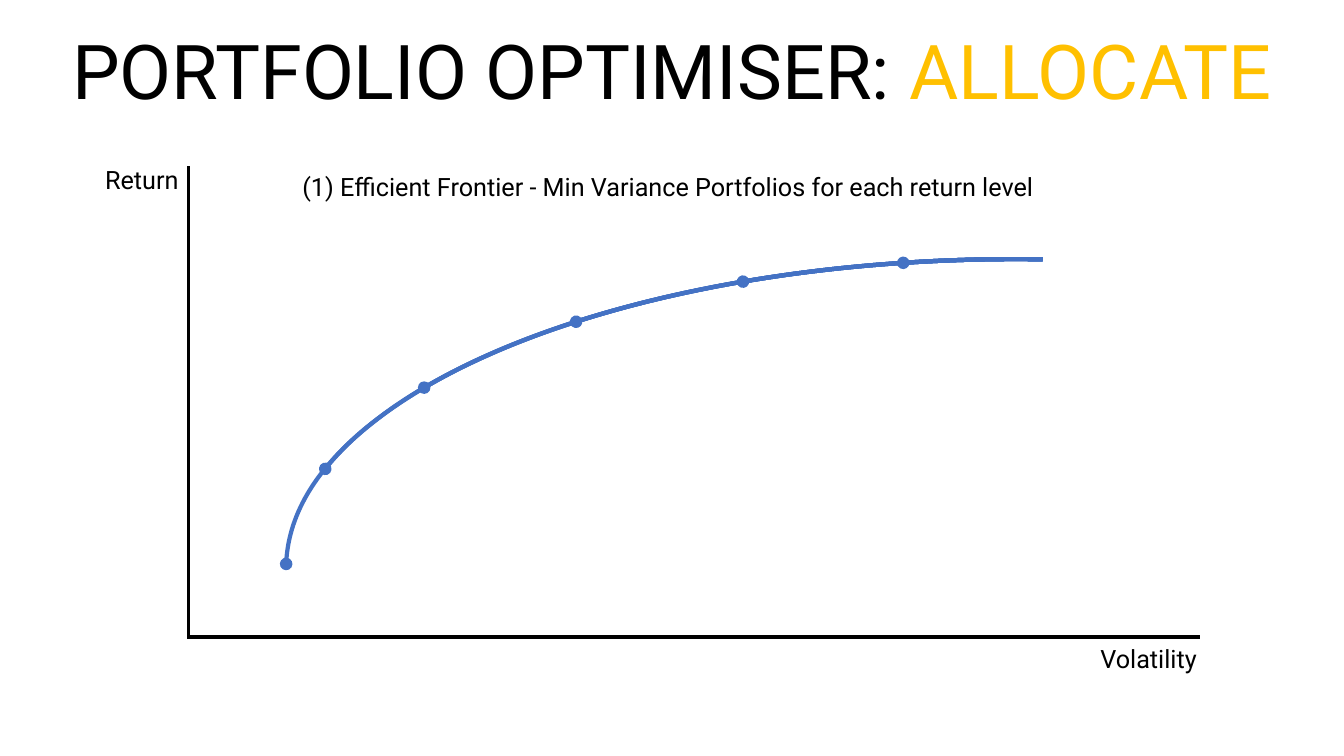
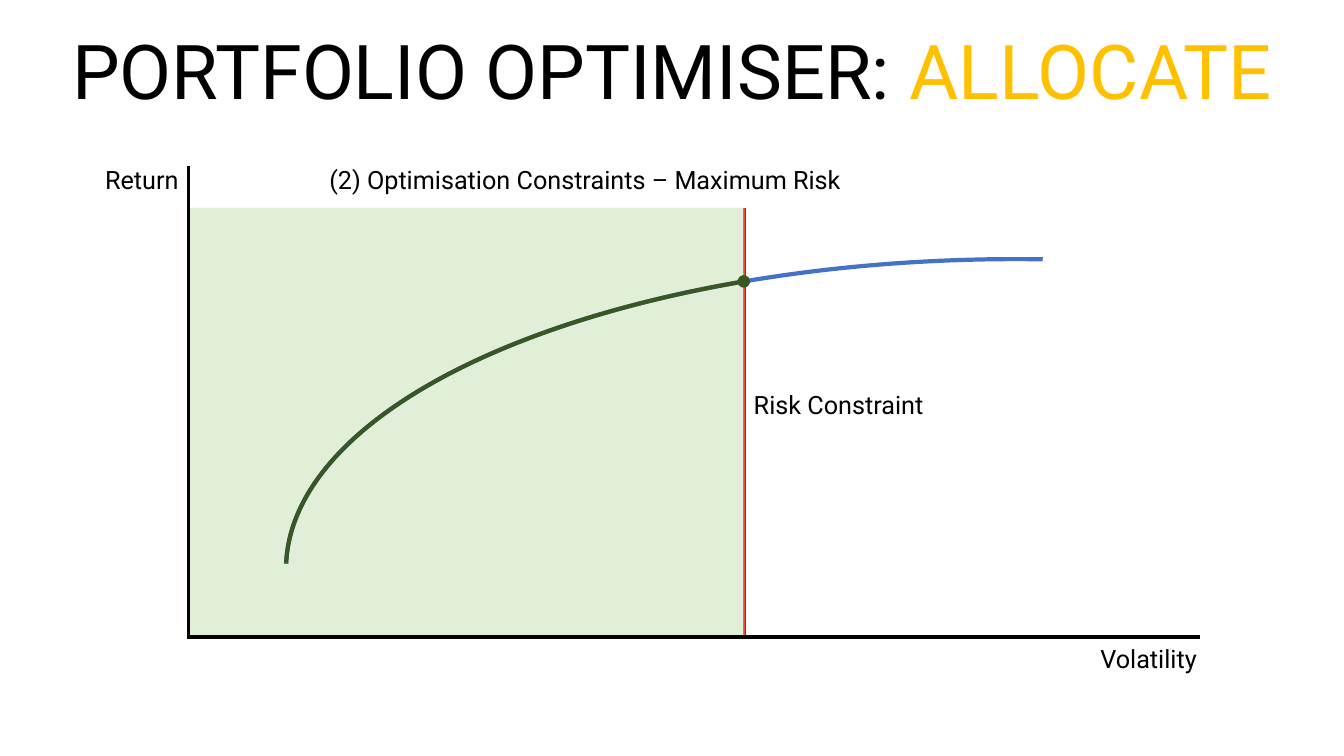
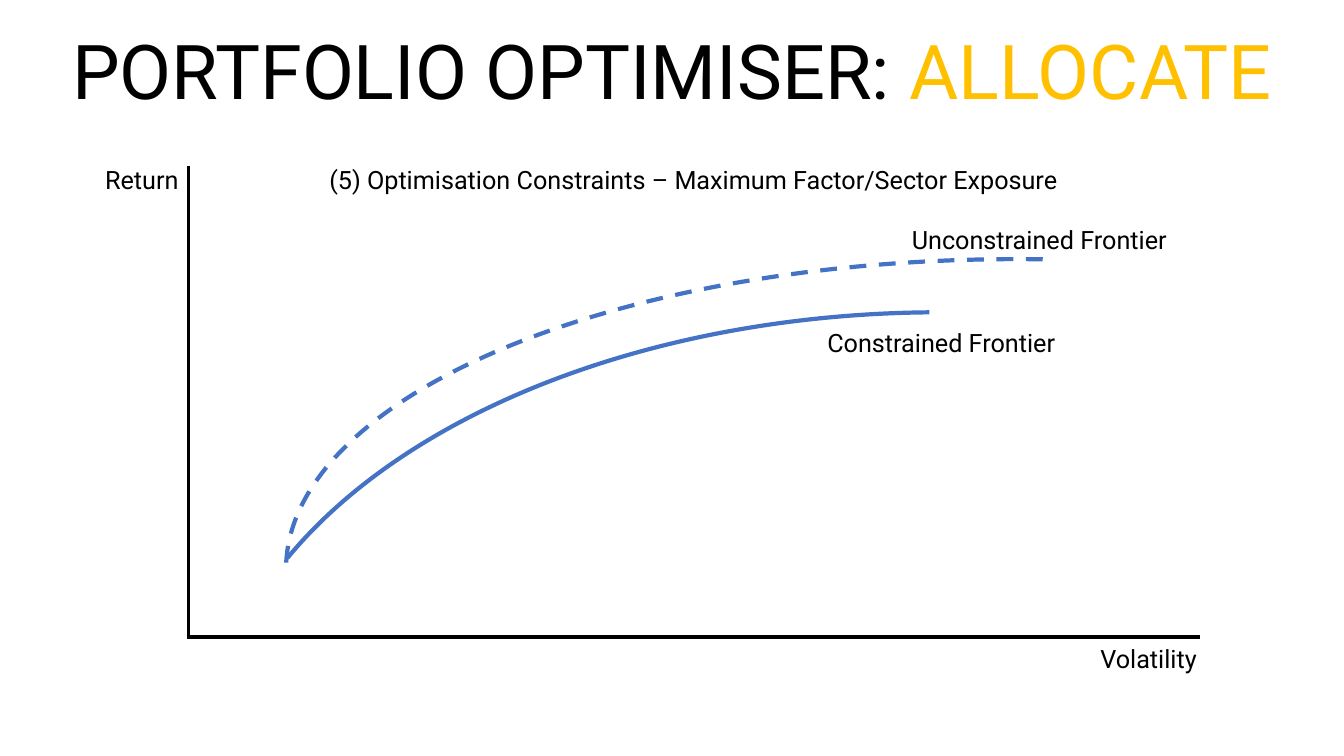
"""Build three slides on portfolio allocation along the efficient frontier."""
from lxml import etree
from pptx import Presentation, util as u
from pptx.dml.color import RGBColor
from pptx.enum import dml, shapes, text
from pptx.oxml.ns import qn

FONT = "Roboto"
HUES = {
    "ink": "000000",
    "gold": "FFC000",
    "blue": "4472C4",
    "green": "385723",
    "pale": "C5E0B4",
    "red": "FF0000",
}
WIDE, HIGH = 33.87, 19.05
LEFT, BASE = 4.75, 16.05
LIMIT, CEIL = 18.77, 5.23
OUTER = (7.21, 6.53, 36.8, 15.62)
INNER = (5.28, 7.87, 36.8, 22.5)
START, END = 159.06, 215.76
STOPS = (174.15, 188.13, 198.4, 205.78, 211.05, END)


def hue(name):
    """Return the named colour."""
    return RGBColor.from_string(HUES[name])


def cms(*sizes):
    """Turn centimetre values into lengths."""
    return [u.Cm(size) for size in sizes]


def write(slide, runs, box, size=18, align="LEFT", anchor="TOP", space=1.0):
    """Place one paragraph of (words, colour) runs, or a plain string."""
    frame = slide.shapes.add_textbox(*cms(*box)).text_frame
    frame.word_wrap = True
    frame.vertical_anchor = getattr(text.MSO_ANCHOR, anchor)
    para = frame.paragraphs[0]
    para.alignment = getattr(text.PP_ALIGN, align)
    para.line_spacing = space
    for words, tint in [(runs, "ink")] if isinstance(runs, str) else runs:
        run = para.add_run()
        run.text = words
        run.font.name = FONT
        run.font.size = u.Pt(size)
        run.font.color.rgb = hue(tint)


def rule(slide, ends, tint="ink"):
    """Draw a straight line between two points."""
    line = slide.shapes.add_connector(shapes.MSO_CONNECTOR.STRAIGHT, *cms(*ends))
    line.line.color.rgb = hue(tint)
    line.line.width = u.Pt(2.25)
    etree.SubElement(line._element.spPr, qn("a:effectLst"))


def curve(slide, box, start=START, end=END, tint="blue", dot=None, dash=False):
    """Draw a mirrored arc, with a dot at its headEnd or tailEnd if asked."""
    arc = slide.shapes.add_shape(shapes.MSO_SHAPE.ARC, *cms(*box))
    arc.adjustments[0] = start
    arc.adjustments[1] = end
    arc._element.spPr.xfrm.set("flipH", "1")
    arc.shadow.inherit = False
    arc.fill.background()
    arc.line.color.rgb = hue(tint)
    arc.line.width = u.Pt(3)
    if dash:
        arc.line.dash_style = dml.MSO_LINE.DASH
    if dot:
        etree.SubElement(arc.line._get_or_add_ln(), qn(f"a:{dot}"), type="oval")


def shade(slide, box):
    """Tint the allowed region with a half-clear fill."""
    area = slide.shapes.add_shape(shapes.MSO_SHAPE.RECTANGLE, *cms(*box))
    area.shadow.inherit = False
    area.line.fill.background()
    area.fill.solid()
    area.fill.fore_color.rgb = hue("pale")
    tone = area._element.spPr.find(".//" + qn("a:srgbClr"))
    etree.SubElement(tone, qn("a:alpha"), val="50000")


def frame(slide):
    """Draw the title, the two axes and their names."""
    title = [("PORTFOLIO OPTIMISER: ", "ink"), ("ALLOCATE", "gold")]
    write(slide, title, (0, 0.05, WIDE, 3.68), size=54, align="CENTER",
          anchor="MIDDLE", space=0.9)
    rule(slide, (LEFT, 4.19, LEFT, 16.08))
    rule(slide, (4.72, BASE, 30.25, BASE))
    write(slide, "Volatility", (27.48, 16.08, 3.25, 1.02))
    write(slide, "Return", (1.5, 4.01, 3.25, 1.02), align="RIGHT")


def levels(slide):
    """Show the frontier with a dot per return level."""
    frame(slide)
    for stop in STOPS:
        curve(slide, OUTER, end=stop, dot="tailEnd")
    write(slide, "(1) Efficient Frontier - Min Variance Portfolios for each return level",
          (7.37, 4.19, 20.27, 1.02))


def risk(slide):
    """Show the part of the frontier under the risk limit."""
    rule(slide, (LIMIT, CEIL, LIMIT, BASE), tint="red")
    shade(slide, (4.72, CEIL, LIMIT - 4.72, BASE - CEIL))
    frame(slide)
    curve(slide, OUTER)
    curve(slide, OUTER, start=188.07, end=215.7, tint="green", dot="headEnd")
    write(slide, "(2) Optimisation Constraints – Maximum Risk", (8.05, 4.01, 21.46, 1.02))
    write(slide, "Risk Constraint", (18.57, 9.68, 4.95, 1.02), align="RIGHT")


def factor(slide):
    """Compare the free and the constrained frontier."""
    frame(slide)
    curve(slide, OUTER, dash=True)
    curve(slide, INNER, start=162.79, end=205.74)
    write(slide, "(5) Optimisation Constraints – Maximum Factor/Sector Exposure",
          (8.05, 4.01, 21.46, 1.02))
    write(slide, "Constrained Frontier", (20.6, 8.13, 7.59, 1.02))
    write(slide, "Unconstrained Frontier", (22.73, 5.54, 7.59, 1.02))


def main():
    """Build and save the deck."""
    deck = Presentation()
    deck.slide_width, deck.slide_height = cms(WIDE, HIGH)
    for build in (levels, risk, factor):
        build(deck.slides.add_slide(deck.slide_layouts[6]))
    deck.save("out.pptx")


if __name__ == "__main__":
    main()
